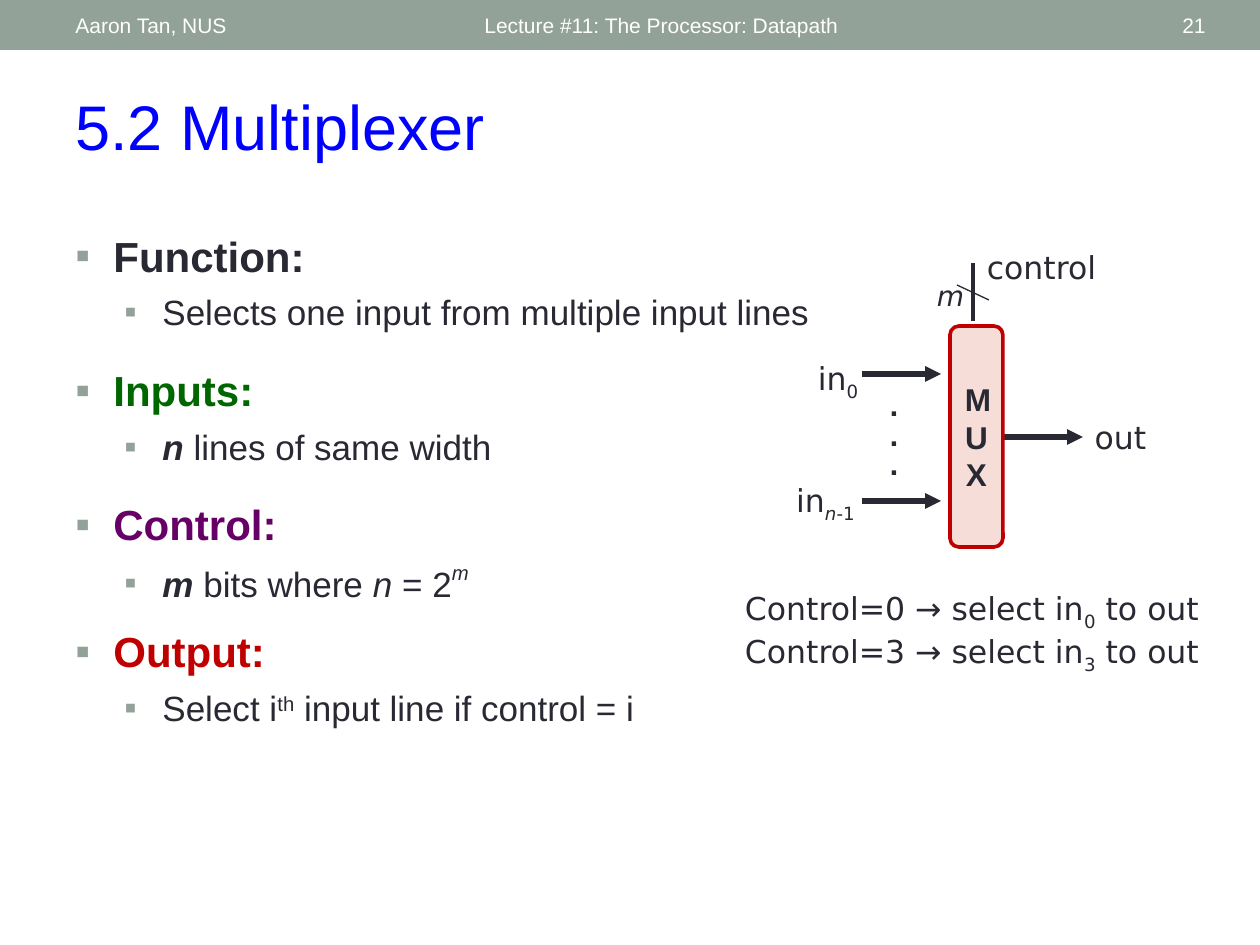
from lxml.etree import SubElement
from pptx import Presentation
from pptx.dml.color import RGBColor
from pptx.enum.shapes import MSO_CONNECTOR, MSO_SHAPE
from pptx.enum.text import MSO_ANCHOR, PP_ALIGN
from pptx.oxml.ns import qn
from pptx.util import Emu, Pt

INK, SAGE, WHITE, RED = "292934", "93A299", "FFFFFF", "C00000"
BODY_FONT, DIAGRAM_FONT = "Arial", "DejaVu Sans"
HANG = 38

OUTLINE = [
    ("Function:", INK, 0, [("Selects one input from multiple input lines",)]),
    ("Inputs:", "006600", 18, [("n", "bi"), (" lines of same width",)]),
    ("Control:", "660066", 18,
     [("m", "bi"), (" bits where ",), ("n", "i"), (" = 2",), ("m", "i", 50)]),
    ("Output:", RED, 12,
     [("Select i",), ("th", "", 30), (" input line if control = i",)]),
]
SIGNALS = [
    (804, 353, 68, [("in",), ("0", "", -25)]),
    (780, 475, 91, [("in",), ("n", "i", -25), ("-1", "", -25)]),
    (1082, 412, 77, [("out",)]),
    (974, 242, 135, [("control",)]),
]
ARROWS = [(862, 374), (862, 501), (1004, 437)]


def px(length):
    """Turn pixels at 126 to the inch into EMU."""
    return Emu(round(length * 914400 / 126))


def colour(code):
    """Make a colour from a hex string."""
    return RGBColor.from_string(code)


def add_runs(paragraph, runs, size, font, ink):
    """Add (text, style letters, baseline percent) runs to a paragraph."""
    for text, style, baseline in ((*run, "", 0)[:3] if len(run) == 1 else (*run, 0)[:3]
                                  for run in runs):
        run = paragraph.add_run()
        run.text = text
        run.font.size = Pt(size)
        run.font.name = font
        run.font.bold = "b" in style
        run.font.italic = "i" in style
        run.font.color.rgb = colour(ink)
        if baseline:
            run.font._element.set("baseline", str(baseline * 1000))


def add_text(slide, box, lines, size, font=BODY_FONT, ink=INK,
             align=PP_ALIGN.LEFT, anchor=MSO_ANCHOR.TOP, wrap=True):
    """Add a text box with one paragraph for each list of runs."""
    frame = slide.shapes.add_textbox(*map(px, box)).text_frame
    frame.word_wrap = wrap
    frame.vertical_anchor = anchor
    for index, runs in enumerate(lines):
        paragraph = frame.add_paragraph() if index else frame.paragraphs[0]
        paragraph.alignment = align
        add_runs(paragraph, runs, size, font, ink)


def add_label(slide, box, lines, size=18):
    """Add a centred diagram label that does not wrap."""
    add_text(slide, box, lines, size, DIAGRAM_FONT, align=PP_ALIGN.CENTER, wrap=False)


def add_block(slide, preset, box, fill, border=None):
    """Add a filled preset shape with an optional border colour."""
    block = slide.shapes.add_shape(preset, *map(px, box))
    block.shadow.inherit = False
    block.fill.solid()
    block.fill.fore_color.rgb = colour(fill)
    if border:
        block.line.color.rgb = colour(border)
        block.line.width = Pt(2.08)
    else:
        block.line.fill.background()
    return block


def add_wire(slide, ends, width, arrow=False):
    """Add a straight line, with an arrowhead at its end if wanted."""
    wire = slide.shapes.add_connector(MSO_CONNECTOR.STRAIGHT, *map(px, ends))
    wire.line.color.rgb = colour(INK)
    wire.line.width = Pt(width)
    if arrow:
        SubElement(wire.line._get_or_add_ln(), qn("a:tailEnd"), type="triangle")
    SubElement(wire._element.spPr, qn("a:effectLst"))


def set_bullet(paragraph, level, left, space):
    """Give a paragraph a square bullet, a hanging indent and space before."""
    paragraph.level = level
    paragraph.space_before = Pt(space)
    properties = paragraph._p.get_or_add_pPr()
    properties.set("marL", str(px(left)))
    properties.set("indent", str(px(-HANG)))
    bullet_colour = SubElement(properties, qn("a:buClr"))
    SubElement(bullet_colour, qn("a:srgbClr"), val=SAGE)
    SubElement(properties, qn("a:buFont"), typeface=BODY_FONT)
    SubElement(properties, qn("a:buChar"), char="▪")


def add_outline(slide):
    """Add the bulleted headings with their details."""
    frame = slide.shapes.add_textbox(px(63), px(219), px(772), px(663)).text_frame
    frame.word_wrap = True
    frame.margin_top = px(11)
    for index, (title, ink, space, detail) in enumerate(OUTLINE):
        heading = frame.add_paragraph() if index else frame.paragraphs[0]
        set_bullet(heading, 0, HANG, space)
        add_runs(heading, [(title, "b")], 24, BODY_FONT, ink)
        item = frame.add_paragraph()
        set_bullet(item, 1, 87, 6)
        add_runs(item, detail, 20, BODY_FONT, INK)


def add_header(slide):
    """Add the top band with author, lecture and page number."""
    add_block(slide, MSO_SHAPE.RECTANGLE, (0, 0, 1260, 50), SAGE)
    for left, width, text, align in [
        (472, 567, "Lecture #11: The Processor: Datapath", PP_ALIGN.LEFT),
        (63, 399, "Aaron Tan, NUS", PP_ALIGN.LEFT),
        (1099, 119, "21", PP_ALIGN.RIGHT),
    ]:
        add_text(slide, (left, 3, width, 45), [[(text,)]], 12, ink=WHITE,
                 align=align, anchor=MSO_ANCHOR.MIDDLE)


def add_multiplexer(slide):
    """Add the multiplexer diagram and its selection examples."""
    add_label(slide, (725, 583, 494, 89),
              [[(f"Control={value} → select in",), (value, "", -25), (" to out",)]
               for value in "03"])
    for left, y in ARROWS:
        add_wire(slide, (left, y, left + 79, y), 3, arrow=True)
    add_wire(slide, (973, 263, 973, 321), 2.25)
    add_wire(slide, (957, 285, 989, 300), 0.75)
    for left, top, width, runs in SIGNALS:
        add_label(slide, (left, top, width, 50), [runs])
    add_label(slide, (924, 272, 53, 47), [[("m", "i")]], 16)
    add_label(slide, (877, 386, 34, 101), [[(".", "b")]] * 3, 14)
    mux = add_block(slide, MSO_SHAPE.ROUNDED_RECTANGLE, (950, 326, 53, 221), "F6DDD8", RED)
    mux.text_frame.word_wrap = True
    mux.text_frame.vertical_anchor = MSO_ANCHOR.MIDDLE
    name = mux.text_frame.paragraphs[0]
    name.alignment = PP_ALIGN.CENTER
    add_runs(name, [("MUX", "b")], 18, BODY_FONT, INK)


def main():
    """Build the slide and save it."""
    deck = Presentation()
    deck.slide_width, deck.slide_height = px(1260), px(945)
    slide = deck.slides.add_slide(deck.slide_layouts[6])
    add_header(slide)
    add_text(slide, (63, 81, 1155, 89), [[("5.2 Multiplexer",)]], 36, ink="0000FF")
    add_outline(slide)
    add_multiplexer(slide)
    deck.save("out.pptx")


if __name__ == "__main__":
    main()
